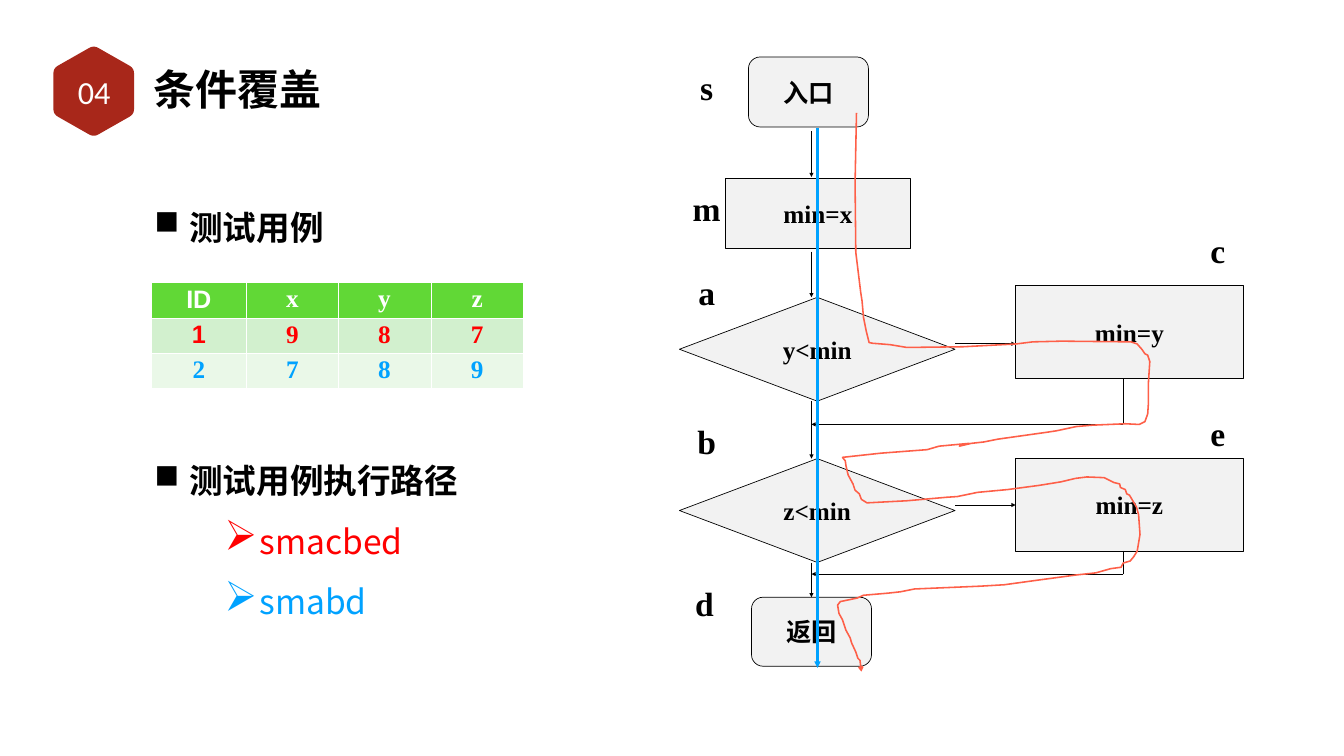
from dataclasses import dataclass

from lxml import etree
from pptx import Presentation
from pptx.dml.color import RGBColor
from pptx.enum import shapes, text
from pptx.oxml import ns
from pptx.util import Pt


@dataclass(frozen=True)
class Theme:
    badge: str = "A8271A"
    node: str = "F2F2F2"
    ink: str = "000000"
    white: str = "FFFFFF"
    red: str = "FF0000"
    blue: str = "00A2FF"
    trace: str = "FE5F48"
    header: str = "61D836"
    bands: tuple = ("D2F0CE", "EAF8E8")
    serif: str = "Times New Roman"
    sans: str = "Arial"
    cjk: str = "Noto Sans CJK SC"
    number: str = "Calibri"
    title_size: int = 60
    body_size: int = 48
    badge_size: int = 46
    node_size: int = 36


THEME = Theme()
CENTER = text.PP_ALIGN.CENTER
MIDDLE = text.MSO_ANCHOR.MIDDLE

RED_TRACE = [
    (253, 80), (251, 180), (252, 279), (259, 336), (261, 349), (263, 372), (267, 392),
    (271, 408), (276, 409), (301, 411), (325, 415), (405, 414), (481, 410), (505, 407),
    (546, 406), (645, 407), (654, 410), (661, 418), (665, 424), (669, 426), (672, 435),
    (670, 466), (670, 495), (669, 510), (665, 521), (657, 525), (637, 524), (590, 526),
    (567, 528), (539, 534), (526, 536), (469, 544), (455, 546), (435, 550), (417, 552),
    (400, 556), (414, 552), (371, 556), (354, 561), (288, 566), (233, 572), (237, 577),
    (238, 584), (241, 597), (248, 610), (251, 619), (257, 624), (260, 632), (268, 637),
    (325, 634), (382, 629), (397, 628), (426, 622), (469, 618), (514, 612), (545, 607),
    (566, 602), (582, 600), (607, 601), (621, 608), (629, 610), (630, 615), (637, 618),
    (639, 624), (643, 626), (653, 643), (656, 654), (658, 682), (654, 706), (649, 714),
    (644, 720), (634, 723), (631, 729), (616, 731), (595, 737), (567, 740), (515, 747),
    (464, 754), (430, 756), (336, 760), (316, 764), (298, 766), (263, 769), (254, 773),
    (230, 778), (226, 783), (228, 795), (233, 804), (238, 819), (244, 830), (246, 837),
    (252, 850), (255, 859), (258, 862), (260, 878),
]


def rgb(color):
    return RGBColor.from_string(color)


def write(frame, words, size, color=THEME.ink, font=THEME.serif, bold=True, align=None,
          spacing=None, bullet=None, bullet_scale=100, indent=0, level=0):
    paragraph = frame.paragraphs[0]
    if paragraph.runs:
        paragraph = frame.add_paragraph()
    paragraph.level = level
    paragraph.alignment = align
    paragraph.line_spacing = spacing
    if bullet:
        properties = paragraph._p.get_or_add_pPr()
        properties.set("marL", str(Pt(indent)))
        properties.set("indent", str(-Pt(50)))
        etree.SubElement(properties, ns.qn("a:buSzPct"), val=str(bullet_scale * 1000))
        etree.SubElement(properties, ns.qn("a:buChar"), char=bullet)
    run = paragraph.add_run()
    run.text = words
    run.font.size = Pt(size)
    run.font.bold = bold
    run.font.color.rgb = rgb(color)
    run.font.name = font
    etree.SubElement(run._r.get_or_add_rPr(), ns.qn("a:ea"), typeface=THEME.cjk)


def text_frame(slide, left, top, width, height, inset=None, wrap=True, anchor=None):
    frame = slide.shapes.add_textbox(Pt(left), Pt(top), Pt(width), Pt(height)).text_frame
    frame.word_wrap = wrap
    frame.vertical_anchor = anchor
    if inset is not None:
        frame.margin_left = frame.margin_right = Pt(inset)
        frame.margin_top = frame.margin_bottom = Pt(inset)
    return frame


def stroke(line, color, width, head=None):
    line.color.rgb = rgb(color)
    line.width = Pt(width)
    if head:
        etree.SubElement(line._get_or_add_ln(), ns.qn("a:tailEnd"), type=head)


def outline(slide, points, close):
    start, *rest = [(Pt(x), Pt(y)) for x, y in points]
    builder = slide.shapes.build_freeform(*start)
    builder.add_line_segments(rest, close=close)
    shape = builder.convert_to_shape()
    shape.shadow.inherit = False
    return shape


def rounded_corners(corners, cut=7.4, steps=5):
    points = []
    for i, (x, y) in enumerate(corners):
        ends = []
        for nx, ny in (corners[i - 1], corners[(i + 1) % len(corners)]):
            share = cut / ((nx - x) ** 2 + (ny - y) ** 2) ** 0.5
            ends.append((x + (nx - x) * share, y + (ny - y) * share))
        (ax, ay), (bx, by) = ends
        for step in range(steps + 1):
            t = step / steps
            a, c, b = (1 - t) ** 2, 2 * t * (1 - t), t ** 2
            points.append((a * ax + c * x + b * bx, a * ay + c * y + b * by))
    return points


def heading(slide, left, top, width, height):
    hexagon = [(0.5, 0), (1, 0.25), (1, 0.75), (0.5, 1), (0, 0.75), (0, 0.25)]
    corners = [(left + 115.2 * x, top + height * y) for x, y in hexagon]
    badge = outline(slide, rounded_corners(corners), close=True)
    badge.fill.solid()
    badge.fill.fore_color.rgb = rgb(THEME.badge)
    badge.line.fill.background()
    number = text_frame(slide, left - 4.3, top + 28, 125.3, 75.6, inset=3.6, anchor=MIDDLE)
    write(number, "04", THEME.badge_size, THEME.white, THEME.number, bold=False, align=CENTER)
    title = text_frame(slide, left + 139, top + 20.2, width - 139, 82, inset=4.5, anchor=MIDDLE)
    write(title, "条件覆盖", THEME.title_size, font=THEME.cjk)


def section(slide, left, top, width, height, topic, paths=()):
    frame = text_frame(slide, left, top, width, height, inset=4.5)
    write(frame, topic, THEME.body_size, font=THEME.cjk, spacing=2, bullet="■", indent=50)
    for route, color in paths:
        write(frame, route, THEME.body_size, color, THEME.cjk, bold=False, spacing=1.5,
              bullet="➢", bullet_scale=125, indent=150, level=2)


def case_table(slide, left, top, width, height):
    rows = [["ID", "x", "y", "z"], ["1", "9", "8", "7"], ["2", "7", "8", "9"]]
    fills = [THEME.header, *THEME.bands]
    colors = [THEME.white, THEME.red, THEME.blue]
    table = slide.shapes.add_table(3, 4, Pt(left), Pt(top), Pt(width), Pt(height)).table
    for column, share in zip(table.columns, (0.256, 0.246, 0.249, 0.249)):
        column.width = Pt(width * share)
    for r, values in enumerate(rows):
        for c, value in enumerate(values):
            cell = table.cell(r, c)
            cell.fill.solid()
            cell.fill.fore_color.rgb = rgb(fills[r])
            font = THEME.sans if value in ("ID", "1") else THEME.serif
            write(cell.text_frame, value, THEME.node_size, colors[r], font, align=CENTER)


def flowchart(slide, left, top):
    kinds = shapes.MSO_SHAPE

    def node(kind, words, x, y, width, height):
        shape = slide.shapes.add_shape(kind, Pt(left + x), Pt(top + y), Pt(width), Pt(height))
        shape.shadow.inherit = False
        shape.fill.solid()
        shape.fill.fore_color.rgb = rgb(THEME.node)
        stroke(shape.line, THEME.ink, 1)
        shape.text_frame.word_wrap = False
        shape.text_frame.vertical_anchor = MIDDLE
        write(shape.text_frame, words, THEME.node_size, align=CENTER)

    def link(x1, y1, x2, y2, head="triangle", color=THEME.ink, width=1):
        connector = slide.shapes.add_connector(
            shapes.MSO_CONNECTOR.STRAIGHT,
            Pt(left + x1), Pt(top + y1), Pt(left + x2), Pt(top + y2))
        stroke(connector.line, color, width, head)
        etree.SubElement(connector._element.spPr, ns.qn("a:effectLst"))

    trunk, side, back = 188.6, 480.2, 634.3
    node(kinds.FLOWCHART_ALTERNATE_PROCESS, "入口", 98.6, 0, 171.4, 100)
    node(kinds.FLOWCHART_ALTERNATE_PROCESS, "返回", 103, 771.8, 171.4, 98.6)
    for variable, y, side_y, join_y in (("y", 343.4, 326.9, 524.9), ("z", 573.8, 573.8, 738.7)):
        node(kinds.FLOWCHART_DECISION, f"{variable}<min", 0, y, 393.8, 148.3)
        node(kinds.FLOWCHART_PROCESS, f"min={variable}", side, side_y, 325.4, 131.8)
        link(394, y + 66.3, side, y + 66.3)
        link(back, side_y + 131.8, back, join_y, head=None)
        link(back, join_y, trunk, join_y)
    for start, end in ((105.8, 171.4), (277.9, 343.4), (491.8, 573.8), (722.2, 771.8)):
        link(trunk, start, trunk, end)
    for letter, x, y in (("s", 39, 10.8), ("m", 39, 182.9), ("a", 39, 303.1), ("b", 39, 517),
                         ("d", 35.6, 747.4), ("c", 769.3, 243.4), ("e", 769.3, 505.4)):
        label = text_frame(slide, left + x - 30, top + y, 60, 90, wrap=False)
        write(label, letter, THEME.body_size, align=CENTER)
    node(kinds.FLOWCHART_PROCESS, "min=x", 66.2, 172.8, 263.5, 100)

    link(197.3, 101.5, 197.3, 872.6, color=THEME.blue, width=3)
    trace = outline(slide, [(left + x, top + y) for x, y in RED_TRACE], close=False)
    trace.fill.background()
    stroke(trace.line, THEME.trace, 2.25, "arrow")


def main():
    deck = Presentation()
    deck.slide_width, deck.slide_height = Pt(1920), Pt(1080)
    slide = deck.slides.add_slide(deck.slide_layouts[6])
    heading(slide, 76.3, 64.8, 572, 131)
    flowchart(slide, 970.6, 81.4)
    section(slide, 216, 233.3, 584.6, 188, "测试用例")
    case_table(slide, 216, 404, 532, 151.2)
    section(slide, 216, 595.4, 584.6, 414.7, "测试用例执行路径",
            [("smacbed", THEME.red), ("smabd", THEME.blue)])
    deck.save("out.pptx")


if __name__ == "__main__":
    main()
